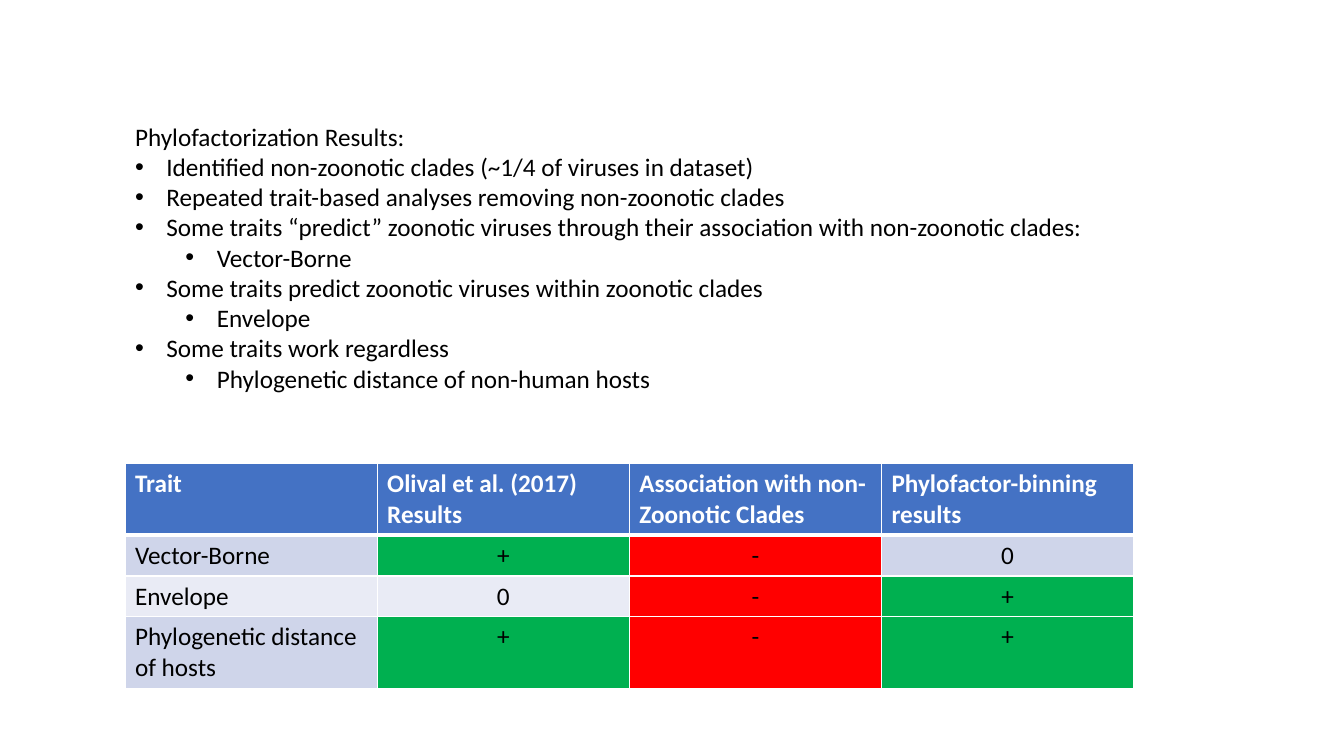
from lxml import etree
from pptx import Presentation
from pptx.dml.color import RGBColor
from pptx.enum import text
from pptx.oxml import ns
from pptx.util import Cm, Pt

# Content: (indent level, wording); level None means no bullet
FINDINGS = [
    (None, "Phylofactorization Results:"),
    (0, "Identified non-zoonotic clades (~1/4 of viruses in dataset)"),
    (0, "Repeated trait-based analyses removing non-zoonotic clades"),
    (0, "Some traits “predict” zoonotic viruses through their association with non-zoonotic clades:"),
    (1, "Vector-Borne"),
    (0, "Some traits predict zoonotic viruses within zoonotic clades"),
    (1, "Envelope"),
    (0, "Some traits work regardless"),
    (1, "Phylogenetic distance of non-human hosts"),
]
TRAITS = [
    ("Trait", "Olival et al. (2017) Results",
     "Association with non-Zoonotic Clades ", "Phylofactor-binning results"),
    ("Vector-Borne", "+", "-", "0"),
    ("Envelope", "0", "-", "+"),
    ("Phylogenetic distance of hosts", "+", "-", "+"),
]
EFFECT_FILLS = {"+": "00B050", "-": "FF0000"}
HEADER_FILL, BAND_FILLS = "4472C4", ("CFD5EA", "E9EBF5")
WHITE, BLACK = "FFFFFF", "000000"

# Layout
LEFT, WIDTH = Cm(3.15), Cm(25.42)
FINDINGS_TOP, FINDINGS_HEIGHT = Cm(2.92), Cm(7.19)
TABLE_TOP = Cm(11.68)
ROW_HEIGHTS = [Cm(h) for h in (1.78, 1.03, 1.03, 1.78)]
HANG, LEVEL_STEP = Cm(0.79), Cm(1.27)


def color(hex_value):
    return RGBColor.from_string(hex_value)


def write(paragraph, wording, size=18, ink=BLACK, bold=False, align=text.PP_ALIGN.LEFT):
    run = paragraph.add_run()
    run.text = wording
    run.font.name, run.font.size, run.font.bold = "Calibri", Pt(size), bold
    run.font.color.rgb = color(ink)
    paragraph.alignment = align
    paragraph.space_before = paragraph.space_after = Pt(0)


def set_bullet(paragraph, level):
    props = paragraph._p.get_or_add_pPr()
    if level is None:
        props.set("marL", "0")
        props.set("indent", "0")
        etree.SubElement(props, ns.qn("a:buNone"))
        return
    paragraph.level = level
    props.set("marL", str(HANG + level * LEVEL_STEP))
    props.set("indent", str(-HANG))
    etree.SubElement(props, ns.qn("a:buFont"), typeface="Arial")
    etree.SubElement(props, ns.qn("a:buChar"), char="•")


def set_borders(cell, **widths):
    props = cell._tc.get_or_add_tcPr()
    for side in "LRTB":
        line = etree.SubElement(props, ns.qn(f"a:ln{side}"), w=str(Pt(widths.get(side, 1))))
        fill = etree.SubElement(line, ns.qn("a:solidFill"))
        etree.SubElement(fill, ns.qn("a:srgbClr"), val=WHITE)


deck = Presentation()
deck.slide_width, deck.slide_height = Cm(33.87), Cm(19.05)
slide = deck.slides.add_slide(deck.slide_layouts[1])
heading = slide.shapes.title
heading._element.getparent().remove(heading._element)

# Findings list
findings = slide.placeholders[1]
findings.left, findings.top = LEFT, FINDINGS_TOP
findings.width, findings.height = WIDTH, FINDINGS_HEIGHT
frame = findings.text_frame
frame.word_wrap, frame.auto_size = True, text.MSO_AUTO_SIZE.NONE
for index, (level, wording) in enumerate(FINDINGS):
    paragraph = frame.add_paragraph() if index else frame.paragraphs[0]
    write(paragraph, wording)
    set_bullet(paragraph, level)

# Trait table
traits = slide.shapes.add_table(len(TRAITS), len(TRAITS[0]), LEFT, TABLE_TOP,
                                WIDTH, sum(ROW_HEIGHTS)).table
for row, (height, entries) in enumerate(zip(ROW_HEIGHTS, TRAITS)):
    traits.rows[row].height = height
    is_header = row == 0
    base_fill = HEADER_FILL if is_header else BAND_FILLS[(row - 1) % 2]
    for column, entry in enumerate(entries):
        cell = traits.cell(row, column)
        centred = column and not is_header
        write(cell.text_frame.paragraphs[0], entry, bold=is_header,
              ink=WHITE if is_header else BLACK,
              align=text.PP_ALIGN.CENTER if centred else text.PP_ALIGN.LEFT)
        set_borders(cell, B=3 if is_header else 1, T=3 if row == 1 else 1)
        cell.fill.solid()
        cell.fill.fore_color.rgb = color(EFFECT_FILLS.get(entry, base_fill))

deck.save("out.pptx")
